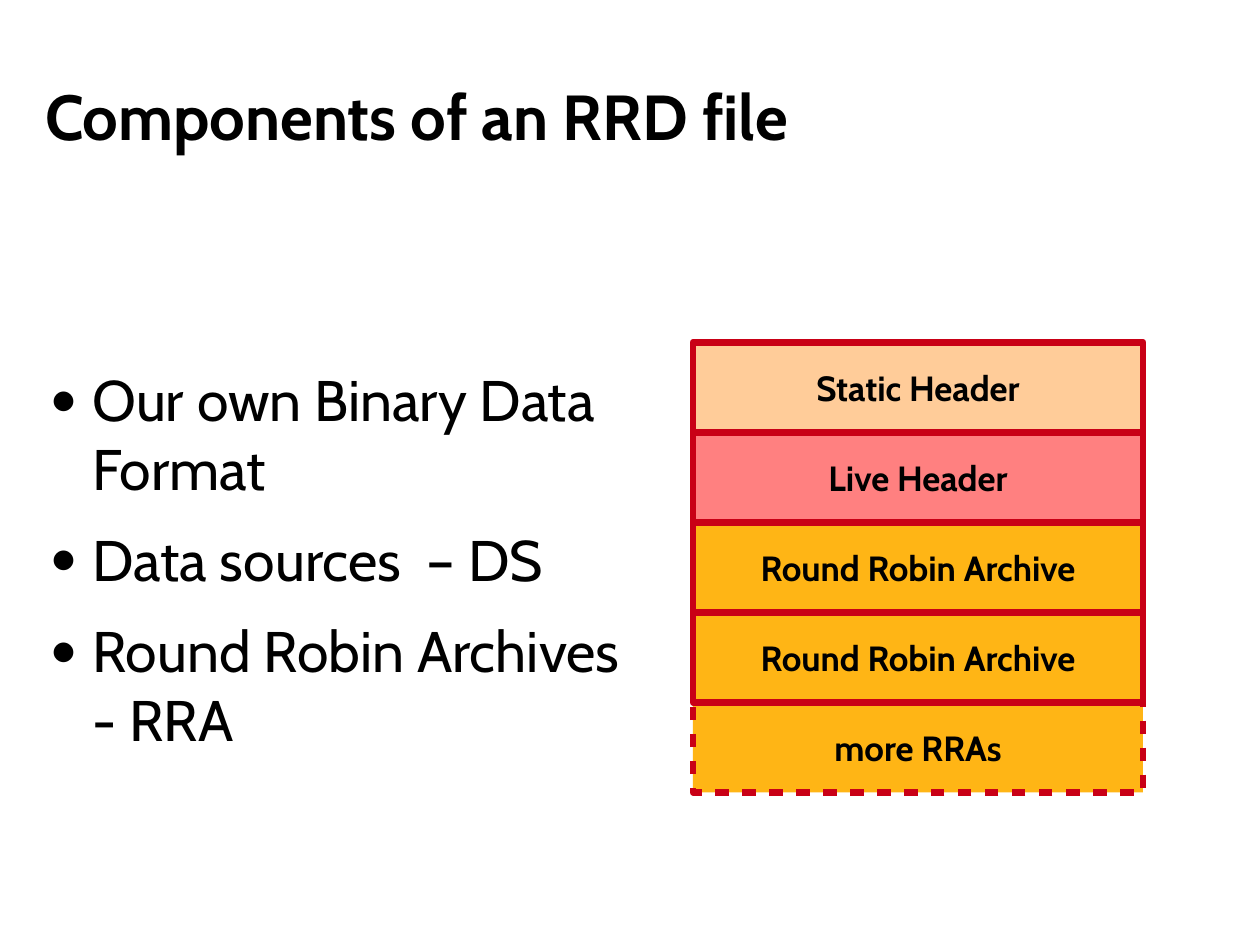
"""Slide: the components of an RRD file, as bullets and a stacked block diagram."""
from typing import Any, NamedTuple

from lxml import etree
from pptx import Presentation
from pptx import util as u
from pptx.dml.color import RGBColor
from pptx.enum import shapes, text
from pptx.oxml.ns import qn

BLACK = RGBColor(0x00, 0x00, 0x00)
RED = RGBColor(0xC9, 0x00, 0x16)
PEACH = RGBColor(0xFF, 0xCC, 0x99)
PINK = RGBColor(0xFF, 0x80, 0x80)
AMBER = RGBColor(0xFF, 0xB5, 0x15)

FONT = "Cabin"
WIDTH, HEIGHT = u.Inches(11.02), u.Inches(8.27)
UNIT = WIDTH / 14  # square grid cell: 14 columns across the slide
NO_MARGINS = dict.fromkeys(
    ("margin_left", "margin_right", "margin_top", "margin_bottom"), 0)


class Box(NamedTuple):
    """A frame in grid columns and rows."""
    col: float
    row: float
    cols: float
    rows: float

    def emu(self) -> list[int]:
        """Left, top, width and height as lengths."""
        return [round(n * UNIT) for n in self]


class Block(NamedTuple):
    """One section of the file in the diagram."""
    label: str
    fill: RGBColor
    dashed: bool = False


TITLE_BOX = Box(0.5, 0.64, 13.1, 1.27)
BULLET_BOX = Box(0.43, 4.05, 6.77, 4.95)
STACK_COL, STACK_ROW, STACK_COLS = 7.7, 3.8, 5

BULLETS = ["Our own Binary Data Format", "Data sources  – DS",
           "Round Robin Archives - RRA"]
BLOCKS = [
    Block("Static Header", PEACH),
    Block("Live Header", PINK),
    Block("Round Robin Archive", AMBER),
    Block("Round Robin Archive", AMBER),
    Block("more RRAs", AMBER, dashed=True),
]


def assign(obj: Any, values: dict[str, Any]) -> None:
    """Set each named attribute on an object."""
    for name, value in values.items():
        setattr(obj, name, value)


def write(p: Any, words: str, size: float, bold: bool, align: Any) -> None:
    """Put one formatted run in a paragraph."""
    p.alignment = align
    r = p.add_run()
    r.text = words
    assign(r.font, {"name": FONT, "size": u.Pt(size), "bold": bold})
    r.font.color.rgb = BLACK


def add_bullet(p: Any) -> None:
    """Give a paragraph a small round bullet and a hanging indent."""
    pPr = p._p.get_or_add_pPr()
    pPr.set("marL", str(u.Inches(0.47)))
    pPr.set("indent", str(u.Inches(-0.35)))
    for tag, attr, value in (("a:buSzPct", "val", "45000"),
                             ("a:buFont", "typeface", FONT),
                             ("a:buChar", "char", "●")):
        etree.SubElement(pPr, qn(tag)).set(attr, value)


def dash(line: Any) -> None:
    """Dash a line with marks and gaps of two line widths."""
    pattern = etree.SubElement(line._get_or_add_ln(), qn("a:custDash"))
    etree.SubElement(pattern, qn("a:ds"), d="200000", sp="200000")


def draw_title(s: Any, words: str) -> None:
    """Move and format the title placeholder."""
    sp = s.shapes.title
    sp.left, sp.top, sp.width, sp.height = TITLE_BOX.emu()
    tf = sp.text_frame
    assign(tf, NO_MARGINS | {"word_wrap": True,
                             "auto_size": text.MSO_AUTO_SIZE.NONE,
                             "vertical_anchor": text.MSO_ANCHOR.MIDDLE})
    write(tf.paragraphs[0], words, 40, True, text.PP_ALIGN.LEFT)


def draw_bullets(s: Any, lines: list[str]) -> None:
    """Add the bulleted list on the left."""
    tf = s.shapes.add_textbox(*BULLET_BOX.emu()).text_frame
    assign(tf, NO_MARGINS | {"word_wrap": True})
    for i, words in enumerate(lines):
        p = tf.add_paragraph() if i else tf.paragraphs[0]
        write(p, words, 36, False, text.PP_ALIGN.LEFT)
        p.space_after = u.Pt(14.2)
        add_bullet(p)


def draw_block(s: Any, block: Block, box: Box) -> None:
    """Add one labelled rectangle of the diagram."""
    sp = s.shapes.add_shape(shapes.MSO_SHAPE.RECTANGLE, *box.emu())
    sp.shadow.inherit = False
    sp.fill.solid()
    sp.fill.fore_color.rgb = block.fill
    sp.line.color.rgb = RED
    sp.line.width = u.Pt(4.25)
    if block.dashed:
        dash(sp.line)
    tf = sp.text_frame
    assign(tf, {"word_wrap": True, "vertical_anchor": text.MSO_ANCHOR.MIDDLE})
    write(tf.paragraphs[0], block.label, 22, True, text.PP_ALIGN.CENTER)


def draw_stack(s: Any, blocks: list[Block]) -> None:
    """Stack the blocks, bottom one first so solid borders stay on top."""
    for i, block in reversed(list(enumerate(blocks))):
        draw_block(s, block, Box(STACK_COL, STACK_ROW + i, STACK_COLS, 1))


prs = Presentation()
assign(prs, {"slide_width": WIDTH, "slide_height": HEIGHT})
s = prs.slides.add_slide(prs.slide_layouts.get_by_name("Title Only"))
draw_title(s, "Components of an RRD file")
draw_bullets(s, BULLETS)
draw_stack(s, BLOCKS)
prs.save("out.pptx")
